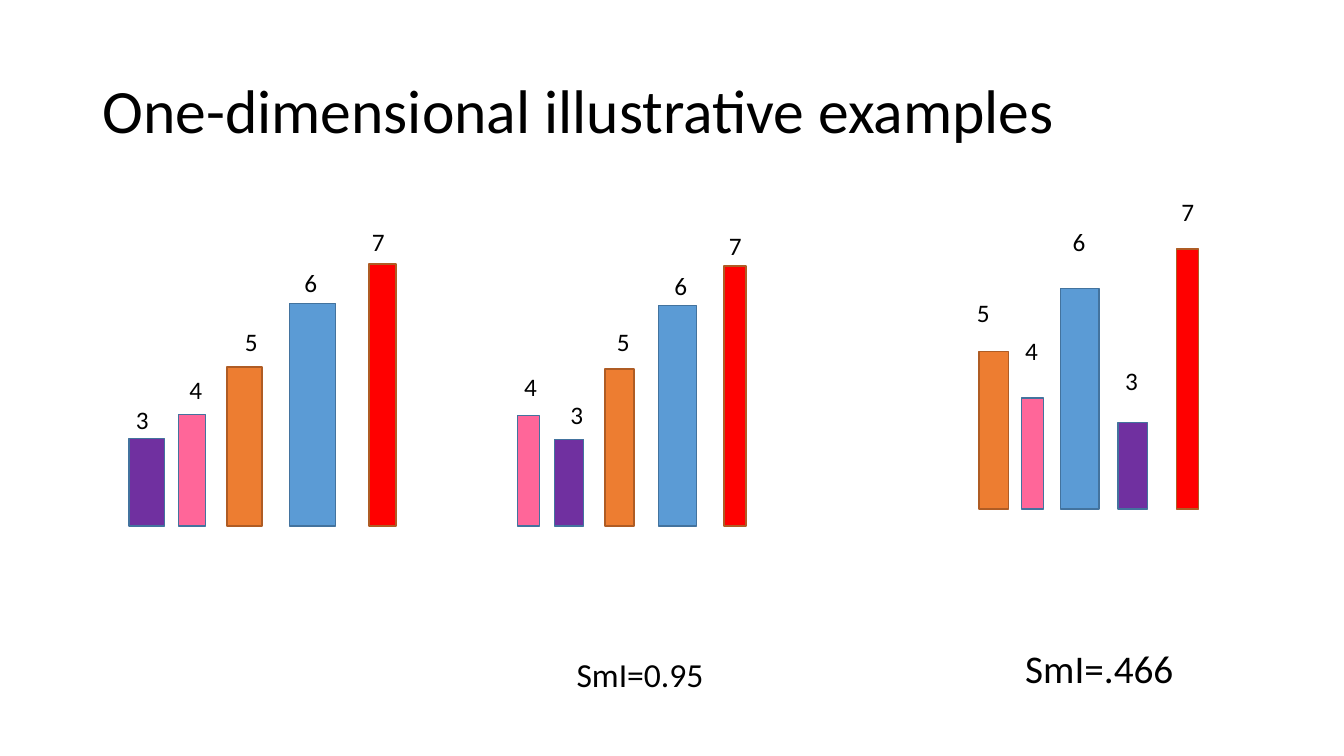
from pptx import Presentation
from pptx.dml.color import RGBColor
from pptx.enum.shapes import MSO_SHAPE
from pptx.enum.text import MSO_ANCHOR
from pptx.util import Pt

RECTANGLE = MSO_SHAPE.RECTANGLE
TOP, MIDDLE = MSO_ANCHOR.TOP, MSO_ANCHOR.MIDDLE
PX = 9144  # EMU per px, 100 px to the inch
FONT = "Calibri"
COLORS = {
    "text": "000000",
    "purple": "7030A0",
    "pink": "FF6699",
    "orange": "ED7D31",
    "blue": "5B9BD5",
    "red": "FF0000",
    "blue line": "43739E",
    "orange line": "AF5C24",
}

# value: (fill, line, label width)
BAR_STYLES = {
    3: ("purple", "blue line", 34),
    4: ("pink", "blue line", 25),
    5: ("orange", "orange line", 40),
    6: ("blue", "blue line", 43),
    7: ("red", "orange line", 46),
}
# value: (width, height)
WIDE_BARS = {3: (35, 87), 4: (27, 111), 5: (35, 158), 6: (46, 221), 7: (27, 260)}
NARROW_BARS = {3: (29, 86), 4: (22, 110), 5: (29, 156), 6: (38, 219), 7: (22, 258)}
# baseline, bar sizes, bars from left to right: (value, bar left, label left, label top)
BAR_GROUPS = [
    (522, WIDE_BARS, [(3, 128, 125, 396), (4, 177, 178, 366), (5, 225, 233, 319),
                      (6, 287, 292, 260), (7, 366, 359, 220)]),
    (522, NARROW_BARS, [(4, 513, 510, 363), (3, 550, 556, 391), (5, 600, 602, 319),
                        (6, 653, 659, 263), (7, 718, 713, 224)]),
    (505, NARROW_BARS, [(5, 971, 959, 290), (4, 1013, 1007, 328), (6, 1052, 1054, 220),
                        (3, 1109, 1106, 358), (7, 1167, 1162, 190)]),
]


def rgb(name):
    return RGBColor.from_string(COLORS[name])


def add_text(text, left, top, width, height, size, anchor=TOP, wrap=True):
    box = slide.shapes.add_textbox(left * PX, top * PX, width * PX, height * PX)
    frame = box.text_frame
    frame.text = text
    frame.word_wrap = wrap
    frame.vertical_anchor = anchor
    font = frame.paragraphs[0].runs[0].font
    font.name = FONT
    font.size = Pt(size)
    font.color.rgb = rgb("text")
    return box


presentation = Presentation()
presentation.slide_width = 1333 * PX
presentation.slide_height = 750 * PX
slide = presentation.slides.add_slide(presentation.slide_layouts[6])

title = add_text("One-dimensional illustrative examples", 92, 40, 1150, 145, 44, MIDDLE)
title.text_frame.paragraphs[0].line_spacing = 0.9

for baseline, sizes, bars in BAR_GROUPS:
    for value, left, label_left, label_top in bars:
        fill, line, label_width = BAR_STYLES[value]
        width, height = sizes[value]
        bar = slide.shapes.add_shape(
            RECTANGLE, left * PX, (baseline - height) * PX, width * PX, height * PX)
        bar.shadow.inherit = False
        bar.fill.solid()
        bar.fill.fore_color.rgb = rgb(fill)
        bar.line.color.rgb = rgb(line)
        bar.line.width = Pt(1)
        add_text(str(value), label_left, label_top, label_width, 40, 18)

add_text("SmI=0.95", 562, 644, 147, 50, 24, wrap=False)
add_text("SmI=.466", 1007, 634, 169, 57, 28, wrap=False)

presentation.save("out.pptx")
